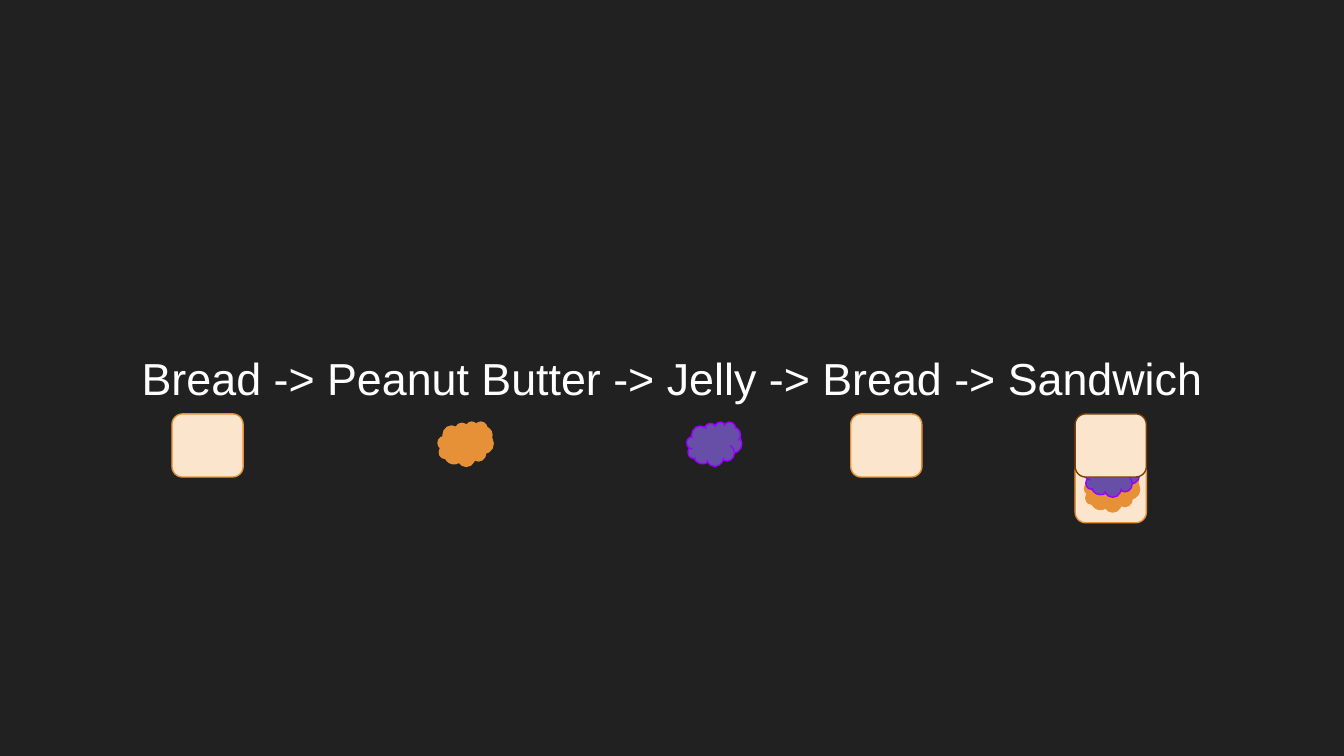
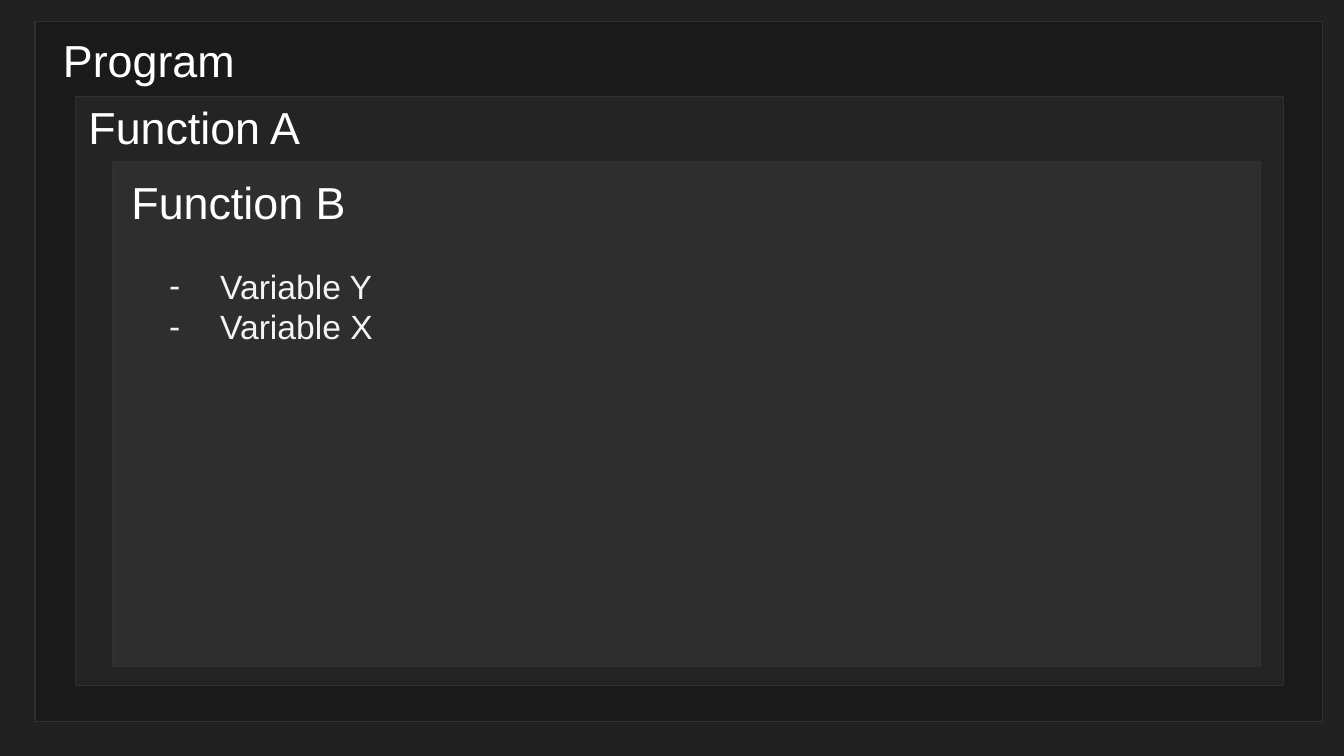
from pptx import Presentation
from pptx.dml.color import RGBColor
from pptx.enum.shapes import MSO_SHAPE as Preset
from pptx.enum.text import MSO_ANCHOR as Anchor, PP_ALIGN as Align
from pptx.oxml.ns import qn
from pptx.util import Inches, Pt
from lxml.etree import SubElement

FONT = "Arial"
BACKGROUND = "212121"
WHITE = "FFFFFF"
LIGHT_GRAY = "F3F3F3"
PANEL_LINE = "303030"
BREAD_FILL = "FCE5CD"
CRUST = "E69138"
DARK_CRUST = "783F04"
PEANUT_BUTTER = ("E69138", "E69138")
JELLY = ("674EA7", "9900FF")


def color(hex_value):
    return RGBColor.from_string(hex_value)


def add_slide(presentation):
    slide = presentation.slides.add_slide(presentation.slide_layouts[6])
    fill = slide.background.fill
    fill.solid()
    fill.fore_color.rgb = color(BACKGROUND)
    return slide


def add_outlined(shapes, preset, left, top, width, height, fill, line):
    shape = shapes.add_shape(preset, Inches(left), Inches(top), Inches(width), Inches(height))
    shape.shadow.inherit = False
    shape.fill.solid()
    shape.fill.fore_color.rgb = color(fill)
    shape.line.color.rgb = color(line)
    shape.line.width = Pt(0.75)
    return shape


def add_bread(shapes, left, top, line=CRUST):
    add_outlined(shapes, Preset.ROUNDED_RECTANGLE, left, top, 0.53, 0.47, BREAD_FILL, line)


def add_spread(shapes, left, top, colors):
    add_outlined(shapes, Preset.CLOUD, left, top, 0.41, 0.33, *colors)


def add_sandwich(slide, left, top):
    shapes = slide.shapes.add_group_shape().shapes
    add_bread(shapes, left, top + 0.34)
    add_spread(shapes, left + 0.07, top + 0.4, PEANUT_BUTTER)
    add_spread(shapes, left + 0.07, top + 0.29, JELLY)
    add_bread(shapes, left, top, DARK_CRUST)


def add_text(slide, box, lines, size=24, text_color=WHITE, align=Align.LEFT, anchor=Anchor.TOP):
    frame = slide.shapes.add_textbox(*[Inches(value) for value in box]).text_frame
    frame.word_wrap = True
    frame.vertical_anchor = anchor
    frame.margin_left = frame.margin_right = Inches(0.1)
    frame.margin_top = frame.margin_bottom = Inches(0.1)
    for index, line in enumerate(lines):
        paragraph = frame.add_paragraph() if index else frame.paragraphs[0]
        paragraph.alignment = align
        run = paragraph.add_run()
        run.text = line
        run.font.name = FONT
        run.font.size = Pt(size)
        run.font.color.rgb = color(text_color)
    return frame


def add_dash_bullets(frame, bullet_color):
    for paragraph in frame.paragraphs:
        properties = paragraph._p.get_or_add_pPr()
        properties.set("marL", str(Inches(0.5)))
        properties.set("indent", str(Inches(-0.38)))
        holder = SubElement(properties, qn("a:buClr"))
        SubElement(holder, qn("a:srgbClr"), val=bullet_color)
        SubElement(properties, qn("a:buFont"), typeface=FONT)
        SubElement(properties, qn("a:buChar"), char="-")


def add_scope(slide, panel, fill, label, label_box):
    """Draw one nested panel with its name at the top left."""
    add_outlined(slide.shapes, Preset.RECTANGLE, *panel, fill, PANEL_LINE)
    add_text(slide, label_box, [label])


def build_sandwich_slide(presentation):
    slide = add_slide(presentation)
    add_text(slide, (0.34, 2.35, 9.32, 0.92),
             ["Bread -> Peanut Butter -> Jelly -> Bread -> Sandwich"],
             align=Align.CENTER, anchor=Anchor.MIDDLE)
    row_top = 3.08
    add_sandwich(slide, 8, row_top)
    for left in (1.28, 6.33):
        add_bread(slide.shapes, left, row_top)
    for left, colors in ((3.26, PEANUT_BUTTER), (5.11, JELLY)):
        add_spread(slide.shapes, left, row_top + 0.06, colors)


def build_scope_slide(presentation):
    slide = add_slide(presentation)
    scopes = [
        ((0.26, 0.16, 9.58, 5.21), "1A1A1A", "Program", (0.37, 0.14, 1.64, 0.39)),
        ((0.56, 0.72, 8.99, 4.38), "242424", "Function A", (0.56, 0.64, 2.03, 0.39)),
        ((0.84, 1.2, 8.54, 3.76), "2E2E2E", "Function B", (0.88, 1.2, 3.26, 0.39)),
    ]
    for scope in scopes:
        add_scope(slide, *scope)
    variables = add_text(slide, (1.04, 1.88, 2.48, 0.53), ["Variable Y", "Variable X"],
                         size=18, text_color=LIGHT_GRAY)
    add_dash_bullets(variables, LIGHT_GRAY)


def main():
    presentation = Presentation()
    presentation.slide_width = Inches(10)
    presentation.slide_height = Inches(10) * 9 // 16
    build_sandwich_slide(presentation)
    build_scope_slide(presentation)
    presentation.save("out.pptx")


if __name__ == "__main__":
    main()
